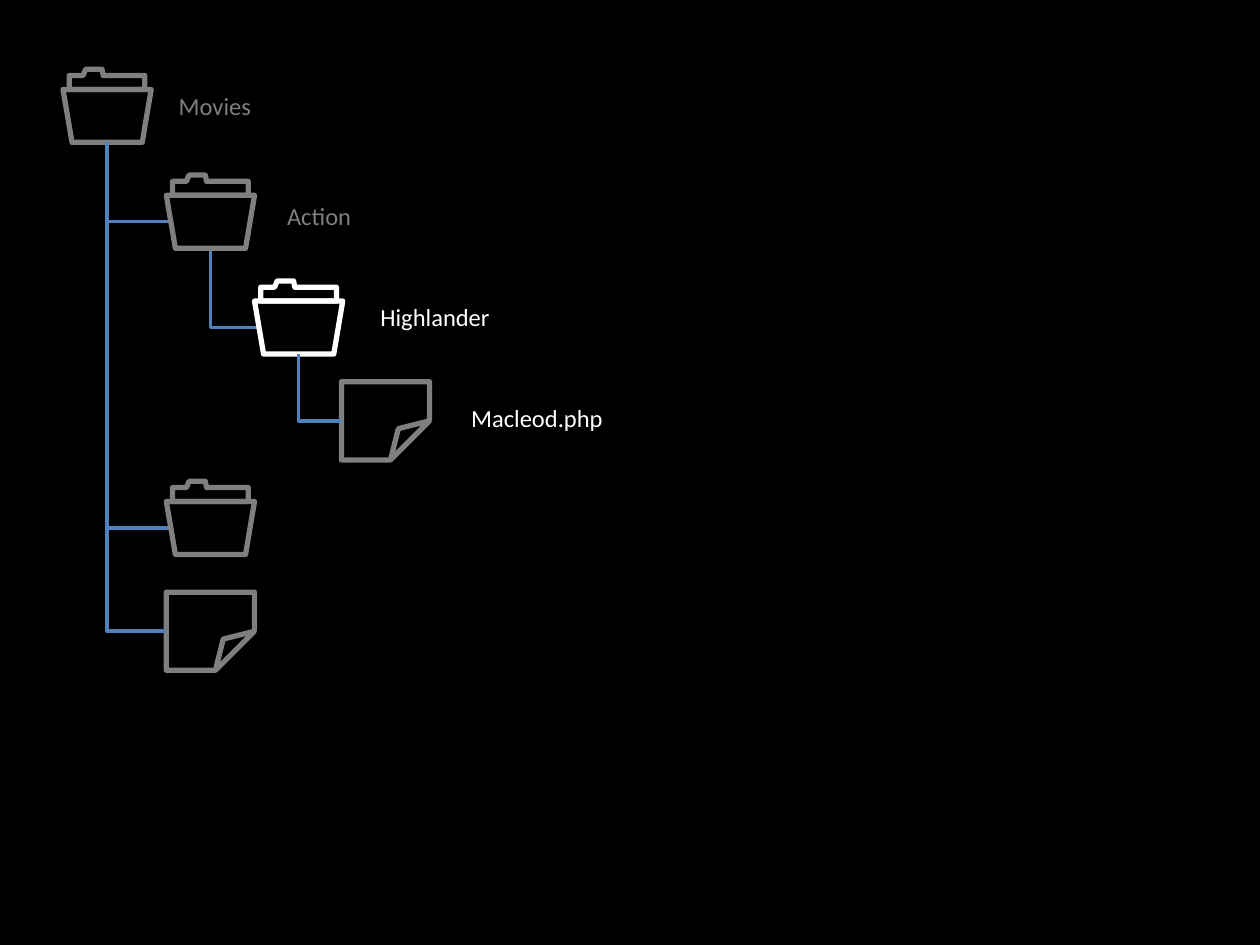
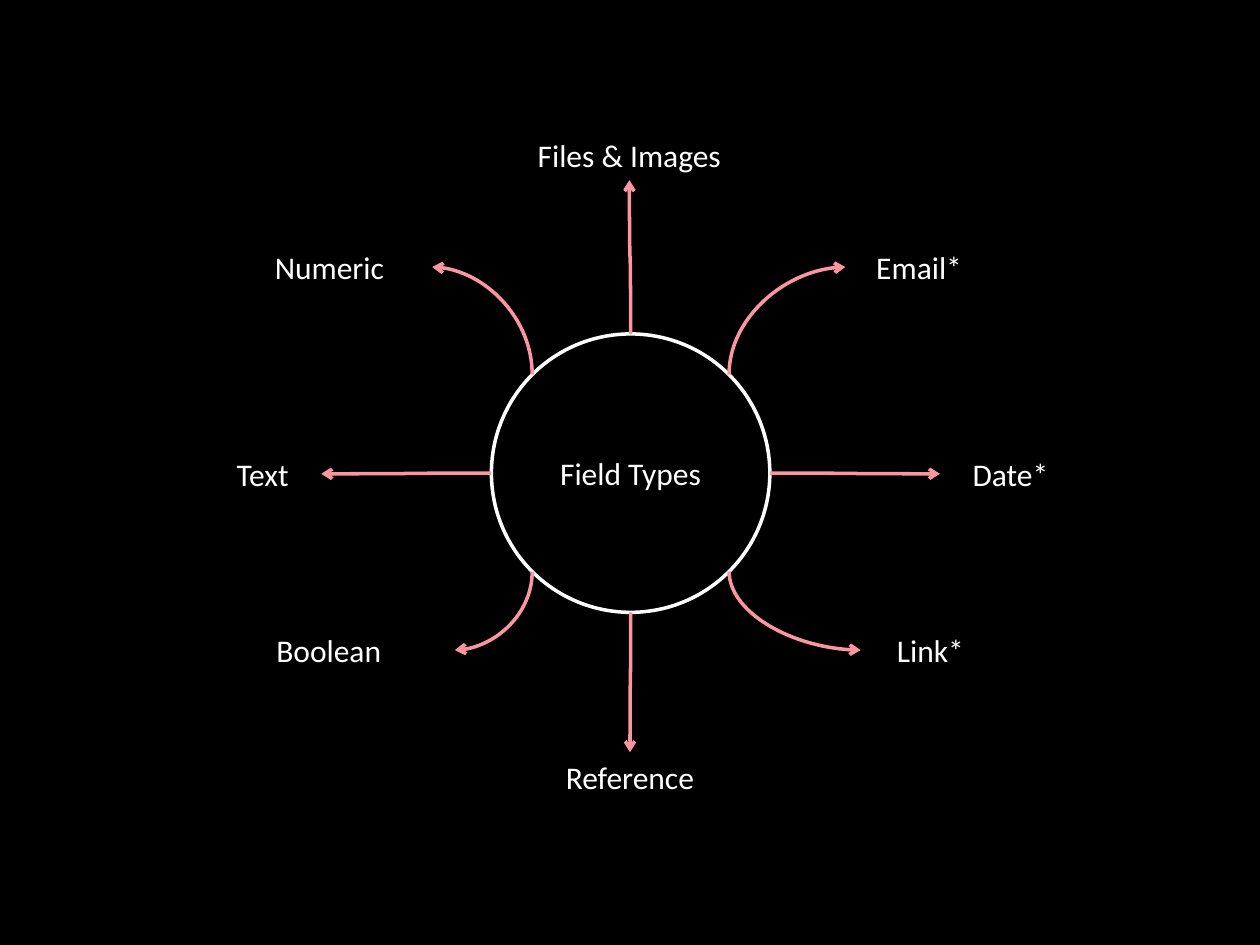
from math import hypot

from lxml import etree
from pptx import Presentation
from pptx.dml.color import RGBColor
from pptx.enum.shapes import MSO_CONNECTOR, MSO_SHAPE
from pptx.enum.text import MSO_ANCHOR, MSO_AUTO_SIZE, PP_ALIGN
from pptx.oxml.ns import qn
from pptx.util import Inches, Pt

COLOURS = {
    "background": "000000",
    "active": "FFFFFF",
    "muted": "7F7F7F",
    "branch": "4F81BD",
    "arrow": "FB959F",
}
FONT = "Calibri"

# Folder tree: name -> (kind, left, top, colour)
ICONS = {
    "movies": ("folder", 0.5, 0.55, "muted"),
    "action": ("folder", 1.32, 1.39, "muted"),
    "highlander": ("folder", 2.02, 2.23, "active"),
    "second folder": ("folder", 1.32, 3.82, "muted"),
    "loose page": ("page", 1.32, 4.7, "muted"),
    "macleod": ("page", 2.71, 3.03, "muted"),
}
BRANCHES_BEHIND = [("movies", "action"), ("action", "highlander"),
                   ("movies", "second folder")]
BRANCHES_IN_FRONT = [("movies", "loose page"), ("highlander", "macleod")]
# text, left, top, width, colour
TREE_LABELS = [
    ("Movies", 1.32, 0.67, 2.96, "muted"),
    ("Action", 2.18, 1.55, 2.85, "muted"),
    ("Highlander", 2.92, 2.35, 2.08, "active"),
    ("Macleod.php", 3.64, 3.15, 2.08, "active"),
]
ICON_WIDTH = 0.7
FOLDER_BODY_TOP, FOLDER_BODY_HEIGHT, PAGE_HEIGHT = 0.16, 0.42, 0.62
# Outline of the folder tab in hundredths of an inch
TAB_OUTLINE = [(0, 5), (11, 5), (13, 0), (26, 0), (27, 5), (60, 5), (60, 16), (0, 16)]

# Field types: text, left, top, width, direction from the hub
HUB_TEXT, HUB_LEFT, HUB_TOP, HUB_SIZE = "Field Types", 3.9, 2.65, 2.21
FIELD_HEIGHT = 0.4
FIELDS = [
    ("Files & Images", 3.66, 1.03, 2.67, (0, -1)),
    ("Email*", 6.71, 1.92, 1.17, (1, -1)),
    ("Date*", 7.46, 3.56, 1.12, (1, 0)),
    ("Link*", 6.83, 4.96, 1.11, (1, 1)),
    ("Reference", 4, 5.97, 2, (0, 1)),
    ("Boolean", 1.61, 4.96, 2, (-1, 1)),
    ("Text", 1.62, 3.56, 0.93, (-1, 0)),
    ("Numeric", 1.8, 1.92, 1.63, (-1, -1)),
]


def colour(name):
    return RGBColor.from_string(COLOURS[name])


def add_slide(presentation):
    slide = presentation.slides.add_slide(presentation.slide_layouts[6])
    slide.background.fill.solid()
    slide.background.fill.fore_color.rgb = colour("background")
    return slide


def outline(shape, line_colour, width):
    shape.shadow.inherit = False
    shape.fill.background()
    shape.line.color.rgb = colour(line_colour)
    shape.line.width = Pt(width)


def write(shape, text, size, text_colour, alignment):
    paragraph = shape.text_frame.paragraphs[0]
    paragraph.text = text
    paragraph.alignment = alignment
    paragraph.font.name = FONT
    paragraph.font.size = Pt(size)
    paragraph.font.color.rgb = colour(text_colour)


def add_label(slide, text, left, top, width, height, size, text_colour, alignment):
    box = slide.shapes.add_textbox(Inches(left), Inches(top), Inches(width), Inches(height))
    box.text_frame.word_wrap = True
    box.text_frame.auto_size = MSO_AUTO_SIZE.SHAPE_TO_FIT_TEXT
    write(box, text, size, text_colour, alignment)


def add_link(slide, kind, start, end, line_colour):
    connector = slide.shapes.add_connector(
        kind, *(Inches(value) for value in (*start, *end)))
    connector.line.color.rgb = colour(line_colour)
    connector.line.width = Pt(2)
    etree.SubElement(connector.element.spPr, qn("a:effectLst"))
    return connector


def leave_vertically(connector, start, end, preset=None):
    """Turn the connector's frame so that its first stretch is vertical."""
    across, down = end[0] - start[0], end[1] - start[1]
    width, height = abs(down), abs(across)
    connector.left = Inches((start[0] + end[0] - width) / 2)
    connector.top = Inches((start[1] + end[1] - height) / 2)
    connector.width, connector.height = Inches(width), Inches(height)
    turned_left = across * down > 0
    frame = connector.element.spPr.find(qn("a:xfrm"))
    frame.set("rot", str((270 if turned_left else 90) * 60000))
    frame.set("flipH", str(int((down > 0) == turned_left)))
    frame.set("flipV", str(int((across > 0) != turned_left)))
    if preset:
        connector.element.spPr.find(qn("a:prstGeom")).set("prst", preset)


# Folder tree
def add_folder(slide, left, top, line_colour):
    group = slide.shapes.add_group_shape()
    body = group.shapes.add_shape(
        MSO_SHAPE.TRAPEZOID, Inches(left), Inches(top + FOLDER_BODY_TOP),
        Inches(ICON_WIDTH), Inches(FOLDER_BODY_HEIGHT))
    body.rotation = 180
    body.adjustments[0] = 0.17
    builder = group.shapes.build_freeform(*TAB_OUTLINE[0], scale=Inches(0.01))
    builder.add_line_segments(TAB_OUTLINE[1:], close=True)
    tab = builder.convert_to_shape(Inches(left + 0.05), Inches(top))
    for part in (body, tab):
        outline(part, line_colour, 3)


def add_page(slide, left, top, line_colour):
    page = slide.shapes.add_shape(MSO_SHAPE.FOLDED_CORNER, Inches(left), Inches(top),
                                  Inches(ICON_WIDTH), Inches(PAGE_HEIGHT))
    geometry = page.element.spPr.find(qn("a:prstGeom"))
    etree.SubElement(geometry.find(qn("a:avLst")), qn("a:gd"), name="adj", fmla="val 50000")
    outline(page, line_colour, 3)


def add_branches(slide, branches):
    for parent, child in branches:
        _, left, top, _ = ICONS[parent]
        start = (left + ICON_WIDTH / 2, top + FOLDER_BODY_TOP + FOLDER_BODY_HEIGHT)
        kind, left, top, _ = ICONS[child]
        if kind == "folder":
            end = (left + 0.03, top + FOLDER_BODY_TOP + FOLDER_BODY_HEIGHT / 2)
        else:
            end = (left, top + PAGE_HEIGHT / 2)
        connector = add_link(slide, MSO_CONNECTOR.ELBOW, start, end, "branch")
        leave_vertically(connector, start, end, "bentConnector2")


def build_folder_tree(presentation):
    slide = add_slide(presentation)
    add_branches(slide, BRANCHES_BEHIND)
    draw = {"folder": add_folder, "page": add_page}
    for kind, left, top, line_colour in ICONS.values():
        draw[kind](slide, left, top, line_colour)
    add_branches(slide, BRANCHES_IN_FRONT)
    for text, left, top, width, text_colour in TREE_LABELS:
        add_label(slide, text, left, top, width, 0.34, 14, text_colour, PP_ALIGN.LEFT)


# Field types around a hub
def build_field_types(presentation):
    slide = add_slide(presentation)
    hub = slide.shapes.add_shape(MSO_SHAPE.OVAL, Inches(HUB_LEFT), Inches(HUB_TOP),
                                 Inches(HUB_SIZE), Inches(HUB_SIZE))
    outline(hub, "active", 2)
    hub.text_frame.vertical_anchor = MSO_ANCHOR.MIDDLE
    write(hub, HUB_TEXT, 18, "active", PP_ALIGN.CENTER)

    radius = HUB_SIZE / 2
    for text, left, top, width, (across, down) in FIELDS:
        add_label(slide, text, left, top, width, FIELD_HEIGHT, 18, "active", PP_ALIGN.CENTER)
        reach = radius / hypot(across, down)
        start = (HUB_LEFT + radius + across * reach, HUB_TOP + radius + down * reach)
        if across:
            end = (left + (width if across < 0 else 0), top + FIELD_HEIGHT / 2)
        else:
            end = (left + width / 2, top + (FIELD_HEIGHT if down < 0 else 0))
        arrow = add_link(slide, MSO_CONNECTOR.CURVE, start, end, "arrow")
        if down:
            leave_vertically(arrow, start, end, "curvedConnector2" if across else None)
        line = arrow.element.spPr.find(qn("a:ln"))
        etree.SubElement(line, qn("a:tailEnd"), type="arrow")


def main():
    presentation = Presentation()
    presentation.slide_width, presentation.slide_height = Inches(10), Inches(7.5)
    build_folder_tree(presentation)
    build_field_types(presentation)
    presentation.save("out.pptx")


if __name__ == "__main__":
    main()
